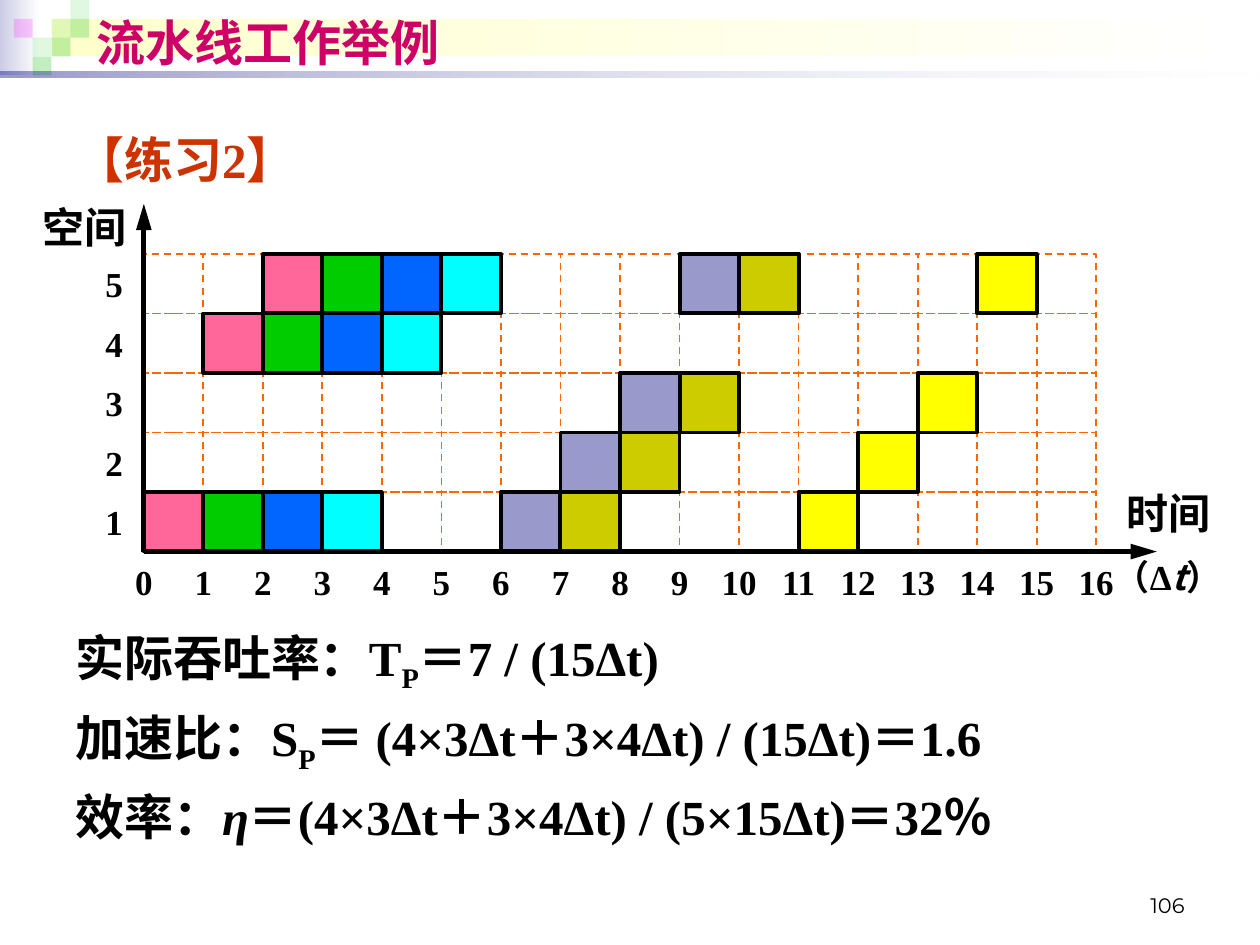
from lxml import etree
from pptx import Presentation
from pptx.dml.color import RGBColor
from pptx.enum.dml import MSO_LINE
from pptx.enum.shapes import MSO_CONNECTOR, MSO_SHAPE
from pptx.enum.text import MSO_ANCHOR, MSO_AUTO_SIZE, PP_ALIGN
from pptx.oxml.ns import qn
from pptx.util import Cm, Pt

RECT, STRAIGHT, DASH = MSO_SHAPE.RECTANGLE, MSO_CONNECTOR.STRAIGHT, MSO_LINE.DASH
LEFT, CENTER, RIGHT = PP_ALIGN.LEFT, PP_ALIGN.CENTER, PP_ALIGN.RIGHT
TOP, MIDDLE, BOTTOM = MSO_ANCHOR.TOP, MSO_ANCHOR.MIDDLE, MSO_ANCHOR.BOTTOM
NO_FIT = MSO_AUTO_SIZE.NONE

BLACK = RGBColor(0x00, 0x00, 0x00)
WHITE = RGBColor(0xFF, 0xFF, 0xFF)
MAGENTA = RGBColor(0xCC, 0x00, 0x66)
RUST = RGBColor(0xCC, 0x33, 0x00)
ORANGE = RGBColor(0xFF, 0x66, 0x00)
PINK = RGBColor(0xFF, 0x66, 0x99)
GREEN = RGBColor(0x00, 0xCC, 0x00)
BLUE = RGBColor(0x00, 0x66, 0xFF)
CYAN = RGBColor(0x00, 0xFF, 0xFF)
LILAC = RGBColor(0x99, 0x99, 0xCC)
OLIVE = RGBColor(0xCC, 0xCC, 0x00)
YELLOW = RGBColor(0xFF, 0xFF, 0x00)
PALE_BLUE = RGBColor(0xCC, 0xCC, 0xE6)
CREAM = RGBColor(0xFF, 0xFF, 0xCC)
NAVY = RGBColor(0x00, 0x00, 0x7D)
LEAF = RGBColor(0x33, 0xCC, 0x33)
FUCHSIA = RGBColor(0xFF, 0x00, 0xFF)

SERIF, SANS, CJK, NUMBER = "Times New Roman", "Arial", "Noto Sans CJK SC", "Montserrat"


class Deck:
    def __init__(self):
        self.prs = Presentation()
        self.prs.slide_width, self.prs.slide_height = Cm(25.4), Cm(19.05)
        self.s = self.prs.slides.add_slide(self.prs.slide_layouts[5])

    def font(self, r, size, color=BLACK, name=SERIF, bold=True):
        f = r.font
        f.size, f.name, f.bold = Pt(size), name, bold
        f.color.rgb = color
        etree.SubElement(r._r.get_or_add_rPr(), qn("a:ea")).set("typeface", CJK)

    def title(self, text, x, y, w, h):
        sp = self.s.shapes.title
        sp.left, sp.top, sp.width, sp.height = Cm(x), Cm(y), Cm(w), Cm(h)
        tf = sp.text_frame
        tf.text = text
        tf.auto_size, tf.vertical_anchor = NO_FIT, MIDDLE
        tf.paragraphs[0].alignment = LEFT
        self.font(tf.paragraphs[0].runs[0], 28, MAGENTA, SANS)
        sp.element.getparent().append(sp.element)  # bring in front of the banner

    def rect(self, x, y, w, h, line=None, width=1, dash=None):
        sp = self.s.shapes.add_shape(RECT, Cm(x), Cm(y), Cm(w), Cm(h))
        sp.shadow.inherit = False
        sp.fill.background()
        if line is None:
            sp.line.fill.background()
        else:
            sp.line.color.rgb, sp.line.width = line, Pt(width)
            if dash:
                sp.line.dash_style = dash
        return sp

    def set_alpha(self, sp, *percents):
        colors = sp.element.spPr.iter(qn("a:srgbClr"))
        for color, percent in zip(colors, percents):
            etree.SubElement(color, qn("a:alpha")).set("val", str(percent * 1000))

    def gradient(self, x, y, w, h, start, alphas=()):
        sp = self.rect(x, y, w, h)
        sp.fill.gradient()
        sp.fill.gradient_angle = 0
        for stop, color in zip(sp.fill.gradient_stops, (start, WHITE)):
            stop.color.rgb = color
        self.set_alpha(sp, *alphas)

    def block(self, x, y, size, color, **outline):
        sp = self.rect(x, y, size, size, **outline)
        sp.fill.solid()
        sp.fill.fore_color.rgb = color
        return sp

    def axis(self, x1, y1, x2, y2):
        c = self.s.shapes.add_connector(STRAIGHT, Cm(x1), Cm(y1), Cm(x2), Cm(y2))
        c.line.color.rgb, c.line.width = BLACK, Pt(3)
        tail = etree.SubElement(c.line._get_or_add_ln(), qn("a:tailEnd"))
        tail.set("type", "triangle")
        tail.set("len", "lg")
        etree.SubElement(c.element.spPr, qn("a:effectLst"))

    def text(self, text, x, y, w, h, size, align=LEFT, anchor=TOP, **style):
        tf = self.s.shapes.add_textbox(Cm(x), Cm(y), Cm(w), Cm(h)).text_frame
        tf.text = text
        tf.word_wrap, tf.vertical_anchor = True, anchor
        p = tf.paragraphs[0]
        p.alignment = align
        self.font(p.runs[0], size, **style)
        return tf

    def tick(self, n, x, y, size):
        tf = self.text(str(n), x, y, size, size, 20, CENTER, MIDDLE)
        tf.margin_left = tf.margin_right = 0  # room for two digits

    def add_runs(self, p, size, runs):
        """Append (text, kind) runs; kind is None, "sub", "italic" or "cjk"."""
        for text, kind in runs:
            r = p.add_run()
            r.text = text
            self.font(r, size, name=CJK if kind == "cjk" else SERIF)
            if kind in ("italic", "cjk"):
                r.font.italic = True
            elif kind == "sub":
                r._r.get_or_add_rPr().set("baseline", "-25000")


X0, Y0, CELL = 2.9, 11.12, 1.2  # chart origin and cell side
STEPS, STAGES = 16, 5
# start times and colours of the tasks, and (delay, stage) of each segment
JOBS = [
    ([(0, PINK), (1, GREEN), (2, BLUE), (3, CYAN)], [(0, 1), (1, 4), (2, 5)]),
    ([(6, LILAC), (7, OLIVE), (11, YELLOW)], [(0, 1), (1, 2), (2, 3), (3, 5)]),
]
SQUARE = 0.38
SQUARES = [(1.04, 1, LEAF, 15), (1.42, 0, LEAF, 15), (1.42, 1, LEAF, 30),
           (0.66, 2, LEAF, 15), (0.28, 1, FUCHSIA, 20), (1.04, 2, LEAF, 30),
           (0.66, 3, LEAF, 30)]
FORMULAS = [
    [("实际吞吐率：T", None), ("P", "sub"), ("＝7 / (15Δt)", None)],
    [("加速比：S", None), ("P", "sub"),
     ("＝ (4×3Δt＋3×4Δt) / (15Δt)＝1.6", None)],
    [("效率：", None), ("η", "italic"),
     ("＝(4×3Δt＋3×4Δt) / (5×15Δt)＝32％", None)],
]


def main():
    d = Deck()

    # Banner and title
    d.gradient(0, 0, 0.79, 1.52, PALE_BLUE)
    d.gradient(1.04, 0.38, 24.26, 0.76, CREAM)
    for x, row, color, alpha in SQUARES:
        d.set_alpha(d.block(x, row * SQUARE, SQUARE, color), alpha)
    d.gradient(0, 1.44, 25.4, 0.13, NAVY, (40, 10))
    d.title("流水线工作举例", 1.7, 0.15, 22.4, 1.4)

    # Exercise heading
    tf = d.text("【练习2】", 1.27, 2.24, 22.86, 1.8, 28, color=RUST)
    tf.paragraphs[0].line_spacing = 1.2

    # Space-time grid: dashed empty cells, then the coloured tasks
    tasks = {(start + delay, stage): color
             for starts, segments in JOBS
             for start, color in starts for delay, stage in segments}
    for stage in range(1, STAGES + 1):
        for t in range(STEPS):
            if (t, stage) not in tasks:
                d.rect(X0 + t * CELL, Y0 - stage * CELL, CELL, CELL, ORANGE, dash=DASH)
    for (t, stage), color in tasks.items():
        d.block(X0 + t * CELL, Y0 - stage * CELL, CELL, color, line=BLACK, width=2.25)

    # Axes and their labels
    d.axis(X0, Y0, 23.32, Y0)
    d.axis(X0, Y0, X0, 4.11)
    for t in range(STEPS + 1):
        d.tick(t, X0 + (t - 0.5) * CELL, Y0, CELL)
    for stage in range(1, STAGES + 1):
        d.tick(stage, X0 - CELL, Y0 - stage * CELL, CELL)
    d.text("空间", 0.4, 3.93, 2.6, 1.27, 24, CENTER)
    tf = d.text("时间", 22, 9.7, 3.1, 2.54, 24, CENTER)
    p = tf.add_paragraph()
    p.alignment, p.space_before = CENTER, Pt(10)
    d.add_runs(p, 20, [("（Δ", None), ("t", "cjk"), ("）", None)])

    # Throughput, speed-up and efficiency
    tf = d.s.shapes.add_textbox(Cm(1.27), Cm(12.26), Cm(22.86), Cm(5)).text_frame
    tf.word_wrap = True
    for i, runs in enumerate(FORMULAS):
        p = tf.add_paragraph() if i else tf.paragraphs[0]
        p.line_spacing = 1.2
        d.add_runs(p, 28, runs)

    # Page number
    d.text("106", 18.2, 17.35, 5.93, 1.27, 12, RIGHT, BOTTOM, name=NUMBER, bold=False)

    d.prs.save("out.pptx")


if __name__ == "__main__":
    main()
